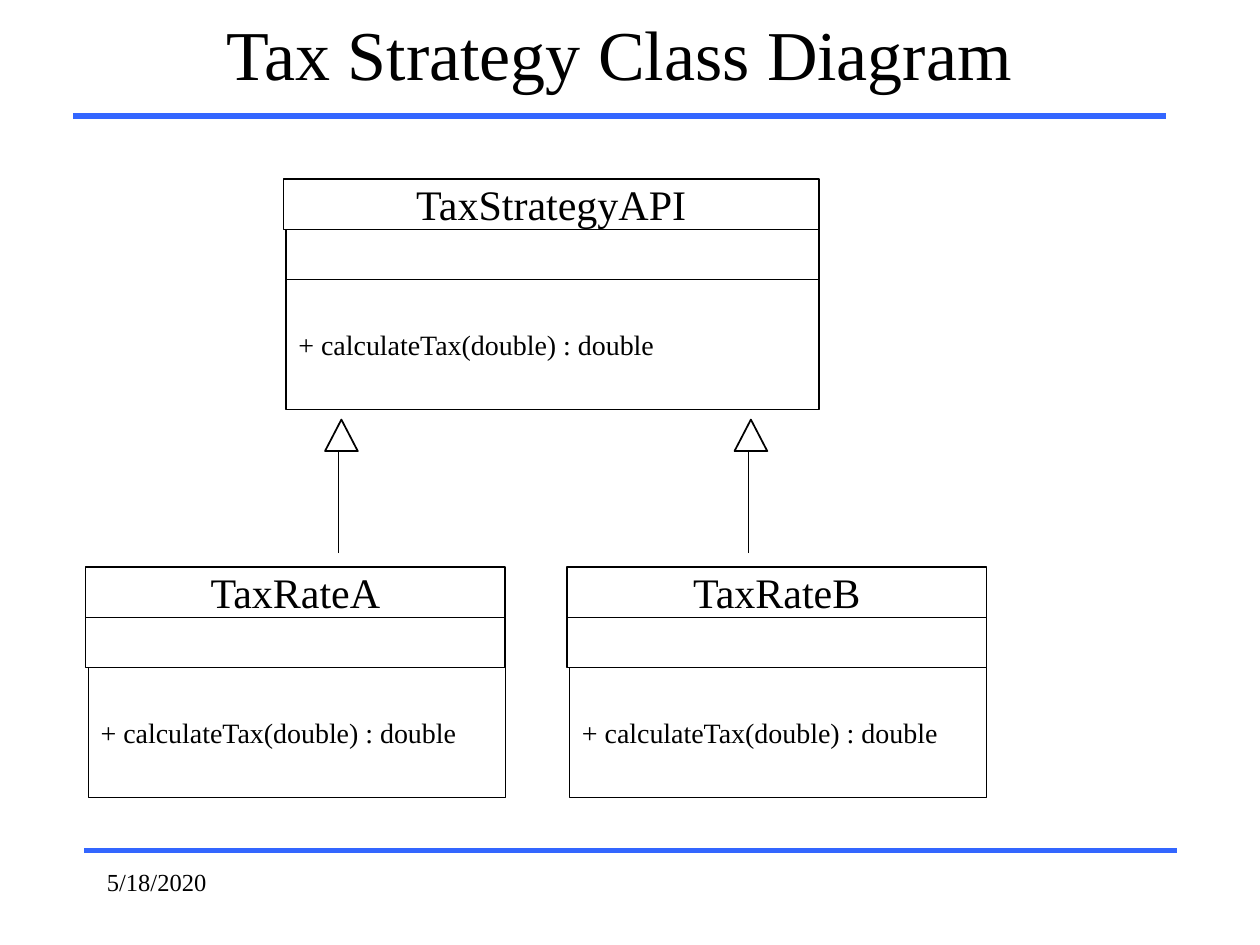
from pptx import Presentation
from pptx.dml.color import RGBColor
from pptx.enum.shapes import MSO_CONNECTOR, MSO_SHAPE
from pptx.enum.text import MSO_ANCHOR, PP_ALIGN
from pptx.oxml.ns import qn
from pptx.util import Inches, Pt
from lxml import etree

LEFT, CENTER = PP_ALIGN.LEFT, PP_ALIGN.CENTER
TOP, MIDDLE = MSO_ANCHOR.TOP, MSO_ANCHOR.MIDDLE
RECT, TRIANGLE = MSO_SHAPE.RECTANGLE, MSO_SHAPE.ISOSCELES_TRIANGLE

TITLE = "Tax Strategy Class Diagram"
DATE = "5/18/2020"
METHOD = "+ calculateTax(double) : double"
# name, left, top, width, index of the first compartment that is indented
CLASSES = [
    ("TaxRateA", 0.68, 4.5, 3.33, 2),
    ("TaxStrategyAPI", 2.25, 1.42, 4.25, 1),
    ("TaxRateB", 4.5, 4.5, 3.33, 2),
]
RULES = [(0.67, 6.75), (0.58, 0.92)]  # left, y
RULE_WIDTH = 8.67
ROW_HEIGHTS = (0.4, 0.4, 1.03)  # name, attributes, methods
INDENT = 0.02
ARROW_LEFTS = (2.58, 5.83)
ARROW_TOP, STEM_TOP, STEM_BOTTOM = 3.33, 3.47, 4.39
HEAD_W, HEAD_H, STEM_OFFSET = 0.26, 0.25, 0.11

THEME = {
    "font": "Times New Roman",
    "ink": RGBColor(0, 0, 0),
    "paper": RGBColor(255, 255, 255),
    "rule": RGBColor(0x33, 0x66, 0xFF),
    "title": 40, "name": 24, "method": 16, "date": 14,
    "rule_line": 3, "box_line": 0.75, "stem_line": 0.5, "head_line": 1,
}


def add_line(s, x1, y1, x2, y2, color, weight):
    c = s.shapes.add_connector(MSO_CONNECTOR.STRAIGHT,
                               *map(Inches, (x1, y1, x2, y2)))
    c.line.color.rgb = THEME[color]
    c.line.width = Pt(THEME[weight])
    etree.SubElement(c._element.spPr, qn("a:effectLst"))


def add_outline(s, kind, box, weight):
    sp = s.shapes.add_shape(kind, *map(Inches, box))
    sp.shadow.inherit = False
    sp.fill.solid()
    sp.fill.fore_color.rgb = THEME["paper"]
    sp.line.color.rgb = THEME["ink"]
    sp.line.width = Pt(THEME[weight])
    return sp


def write(sp, text, style, align=LEFT, anchor=MIDDLE, wrap=False):
    tf = sp.text_frame
    tf.word_wrap = wrap
    tf.vertical_anchor = anchor
    p = tf.paragraphs[0]
    p.text = text
    p.alignment = align
    p.font.name = THEME["font"]
    p.font.size = Pt(THEME[style])
    p.font.color.rgb = THEME["ink"]


def add_label(s, box, *args, **kwargs):
    write(s.shapes.add_textbox(*map(Inches, box)), *args, wrap=True, **kwargs)


def add_class(s, name, left, top, width, indented_from):
    """Draw the compartments bottom up, so the name's descenders stay on top."""
    texts = [(name, "name", CENTER), None, (METHOD, "method", LEFT)]
    for i in reversed(range(len(texts))):
        shift = INDENT if i >= indented_from else 0
        y = top + sum(ROW_HEIGHTS[:i])
        sp = add_outline(s, RECT, (left + shift, y, width - shift, ROW_HEIGHTS[i]),
                         "box_line")
        if texts[i]:
            write(sp, *texts[i])


def add_inheritance(s, left):
    x = left + STEM_OFFSET
    add_line(s, x, STEM_BOTTOM, x, STEM_TOP, "ink", "stem_line")
    add_outline(s, TRIANGLE, (left, ARROW_TOP, HEAD_W, HEAD_H), "head_line")


def main():
    prs = Presentation()
    prs.slide_width, prs.slide_height = Inches(10), Inches(7.5)
    s = prs.slides.add_slide(prs.slide_layouts[6])
    for x, y in RULES:
        add_line(s, x, y, x + RULE_WIDTH, y, "rule", "rule_line")
    add_label(s, (0.58, 0, RULE_WIDTH, 0.83), TITLE, "title", align=CENTER)
    add_label(s, (0.75, 6.83, 2.08, 0.5), DATE, "date", anchor=TOP)
    for spec_row in CLASSES:
        add_class(s, *spec_row)
    for left in ARROW_LEFTS:
        add_inheritance(s, left)
    prs.save("out.pptx")


if __name__ == "__main__":
    main()
